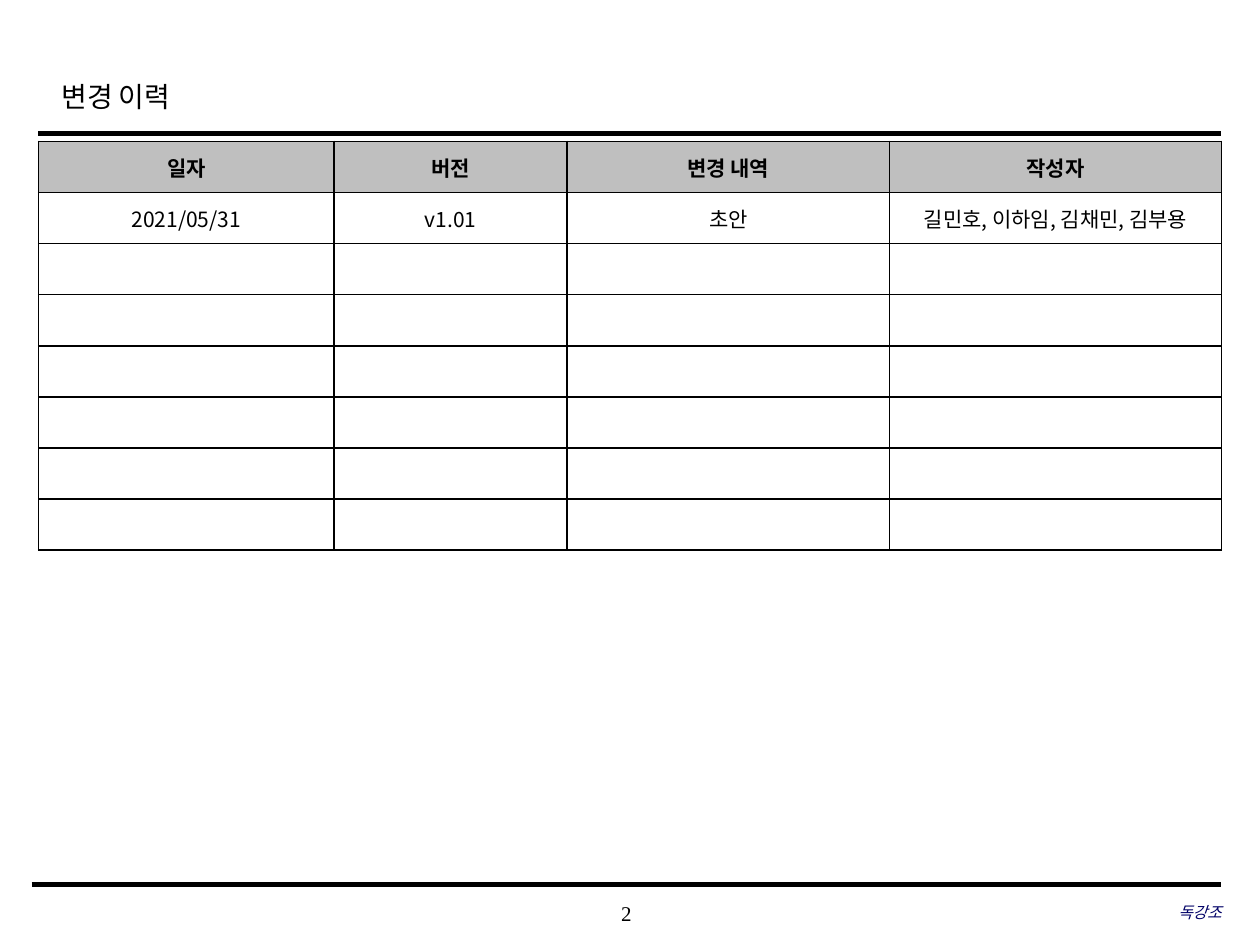
from lxml import etree
from pptx import Presentation
from pptx import util as u
from pptx.dml import color as dml
from pptx.enum import shapes, text
from pptx.oxml import ns

BLACK = "000000"
LATIN = "Times New Roman"
KOREAN = "Noto Sans CJK KR"
CENTER = text.PP_ALIGN.CENTER


def rgb(value):
    return dml.RGBColor.from_string(value)


def add_child(parent, tag, **attributes):
    return etree.SubElement(parent, ns.qn(tag), **attributes)


class SlideBuilder:
    def __init__(self, slide):
        self.slide = slide

    def style(self, para, size, font, color=BLACK, bold=False, italic=False):
        for span in para.runs:
            span.font.size = u.Pt(size)
            span.font.name = font
            span.font.bold = bold
            span.font.italic = italic
            span.font.color.rgb = rgb(color)
            add_child(span.font._element, "a:ea", typeface=KOREAN)

    def label(self, words, left, top, width, height, size, align,
              inset=(0, 0), spacing=1.0, **look):
        box = self.slide.shapes.add_textbox(*map(u.Pt, (left, top, width, height)))
        frame = box.text_frame
        frame.word_wrap = True
        frame.vertical_anchor = text.MSO_ANCHOR.MIDDLE
        frame.margin_left = frame.margin_right = u.Pt(inset[0])
        frame.margin_top = frame.margin_bottom = u.Pt(inset[1])
        frame.text = words
        para = frame.paragraphs[0]
        para.alignment = align
        para.line_spacing = spacing
        self.style(para, size, LATIN, **look)

    def rule(self, left, right, y, weight):
        line = self.slide.shapes.add_connector(
            shapes.MSO_CONNECTOR.STRAIGHT, *map(u.Pt, (left, y, right, y)))
        line.line.color.rgb = rgb(BLACK)
        line.line.width = u.Pt(weight)
        add_child(line._element.spPr, "a:effectLst")

    def cell(self, cell, words, fill, bold):
        properties = cell._tc.get_or_add_tcPr()
        for side in ("a:lnL", "a:lnR", "a:lnT", "a:lnB"):
            edge = add_child(properties, side, w=str(u.Pt(1)))
            add_child(add_child(edge, "a:solidFill"), "a:srgbClr", val=BLACK)
        cell.fill.solid()
        cell.fill.fore_color.rgb = rgb(fill)
        cell.vertical_anchor = text.MSO_ANCHOR.MIDDLE
        para = cell.text_frame.paragraphs[0]
        para.text = words
        para.alignment = CENTER
        self.style(para, 12, KOREAN, bold=bold)
        if not words:
            add_child(para._p, "a:endParaRPr", sz="1200")

    def table(self, rows, left, top, widths, row_height):
        table = self.slide.shapes.add_table(
            len(rows), len(widths), u.Pt(left), u.Pt(top),
            u.Pt(sum(widths)), u.Pt(row_height * len(rows))).table
        table.horz_banding = False
        for column, width in zip(table.columns, widths):
            column.width = u.Pt(width)
        for index, values in enumerate(rows):
            table.rows[index].height = u.Pt(row_height)
            header = index == 0
            for column, words in enumerate(values):
                self.cell(table.cell(index, column), words,
                          "BFBFBF" if header else "FFFFFF", header)


def main():
    deck = Presentation()
    deck.slide_width, deck.slide_height = u.Pt(720), u.Pt(540)
    page = SlideBuilder(deck.slides.add_slide(deck.slide_layouts[6]))

    page.label("2", 283, 510, 150, 24, 12, CENTER)
    page.rule(22, 698, 76.3, 2.5)
    page.rule(18, 698, 505.4, 3)
    page.label("변경 이력", 28, 35.3, 543.6, 36, 16, text.PP_ALIGN.LEFT,
               inset=(7.2, 3.6), spacing=1.2)

    history = [
        ("일자", "버전", "변경 내역", "작성자"),
        ("2021/05/31", "v1.01", "초안", "길민호, 이하임, 김채민, 김부용"),
    ] + [("",) * 4] * 6
    page.table(history, 22, 80.8, (169, 133, 184.5, 189.5), 29.2)

    page.label("독강조", 477.4, 509, 220.6, 24, 9, text.PP_ALIGN.RIGHT,
               color="000066", italic=True)
    deck.save("out.pptx")


if __name__ == "__main__":
    main()
